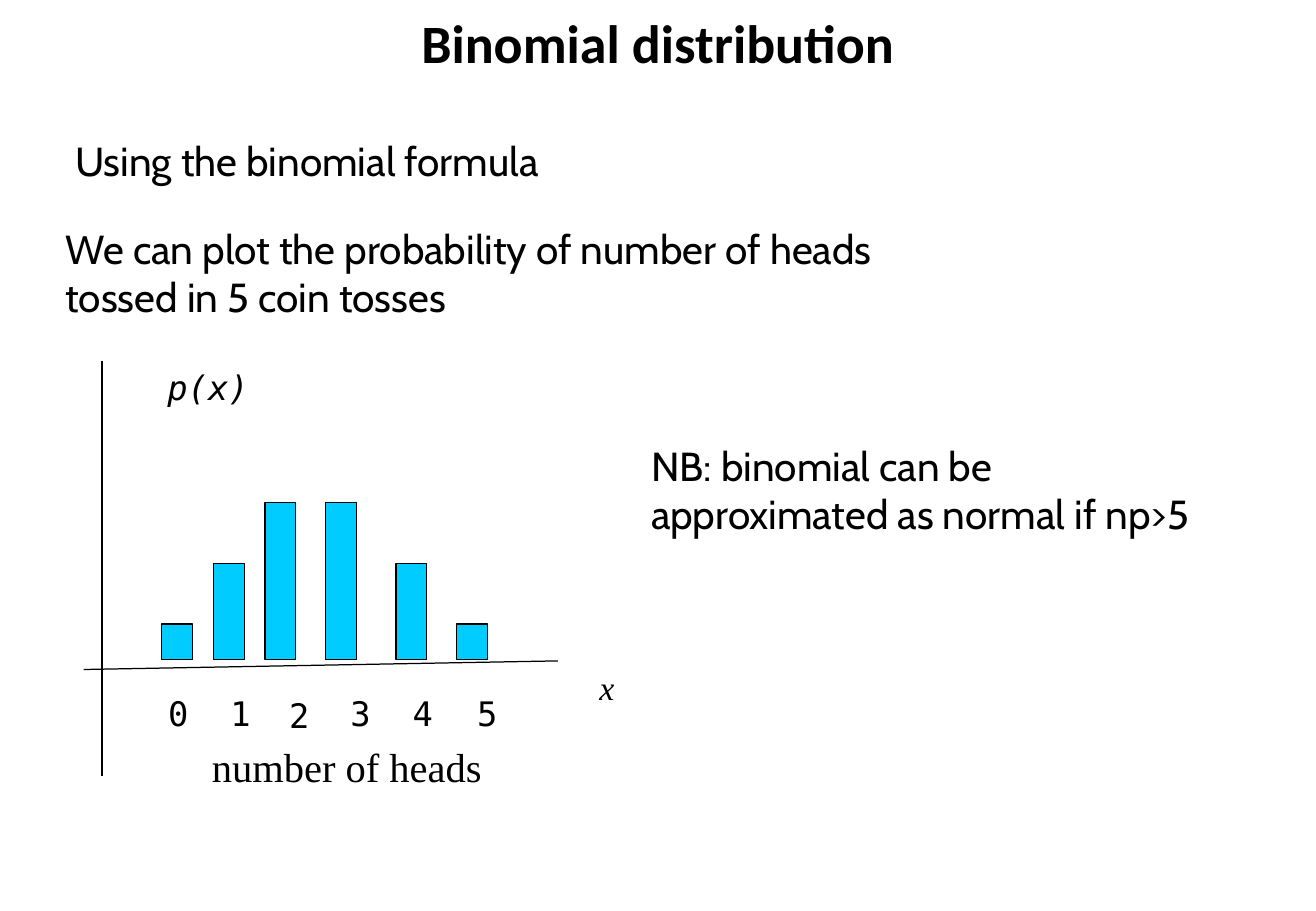
from lxml import etree
from pptx import Presentation
from pptx.dml.color import RGBColor
from pptx.enum.shapes import MSO_CONNECTOR, MSO_SHAPE
from pptx.enum.text import MSO_ANCHOR, PP_ALIGN
from pptx.oxml.ns import qn
from pptx.util import Cm, Pt

LEFT, CENTER = PP_ALIGN.LEFT, PP_ALIGN.CENTER
TOP, MIDDLE = MSO_ANCHOR.TOP, MSO_ANCHOR.MIDDLE
STRAIGHT, RECTANGLE = MSO_CONNECTOR.STRAIGHT, MSO_SHAPE.RECTANGLE
COLORS = {"ink": "000000", "bar": "00CCFF"}
INK = RGBColor.from_string(COLORS["ink"])
BODY, MONO, SERIF = "Cabin", "DejaVu Sans Mono", "Times New Roman"

prs = Presentation()
prs.slide_width, prs.slide_height = Cm(27.51), Cm(19.05)
s = prs.slides.add_slide(prs.slide_layouts[5])


def put_text(text, x, y, w, h, sp=None, font=BODY, size=24, bold=False,
             italic=False, align=LEFT, anchor=TOP, inset=(0.25, 0.13)):
    sp = sp or s.shapes.add_textbox(0, 0, 0, 0)
    sp.left, sp.top, sp.width, sp.height = Cm(x), Cm(y), Cm(w), Cm(h)
    tf = sp.text_frame
    tf.word_wrap = True
    tf.vertical_anchor = anchor
    tf.margin_left = tf.margin_right = Cm(inset[0])
    tf.margin_top = tf.margin_bottom = Cm(inset[1])
    tf.text = text
    for p in tf.paragraphs:
        p.alignment = align
        for r in p.runs:
            r.font.name, r.font.size = font, Pt(size)
            r.font.bold, r.font.italic = bold, italic
            r.font.color.rgb = INK


put_text("Binomial distribution", 1.37, 0.03, 24.77, 1.68, sp=s.shapes.title,
         font="Calibri", size=32, bold=True, align=CENTER, anchor=MIDDLE)
put_text("Using the binomial formula", 1.32, 2.72, 10.9, 1.27)
put_text("We can plot the probability of number of heads\ntossed in 5 coin tosses",
         1.12, 4.55, 18.72, 2.31)
put_text("NB: binomial can be approximated as normal if np>5",
         13.36, 9.09, 11.79, 3.33)

BASELINE = 13.79
bars = [(3.38, 0.74), (4.47, 2.01), (5.54, 3.28),
        (6.81, 3.28), (8.28, 2.01), (9.55, 0.74)]
for x, height in bars:
    sp = s.shapes.add_shape(RECTANGLE, Cm(x), Cm(BASELINE - height), Cm(0.64), Cm(height))
    sp.shadow.inherit = False
    sp.fill.solid()
    sp.fill.fore_color.rgb = RGBColor.from_string(COLORS["bar"])
    sp.line.color.rgb = INK
    sp.line.width = Pt(0.75)

axes = [(2.13, 7.54, 2.13, 16.23), (1.75, 14.0, 11.66, 13.82)]
for ends in axes:
    axis = s.shapes.add_connector(STRAIGHT, *[Cm(v) for v in ends])
    axis.line.color.rgb = INK
    axis.line.width = Pt(0.75)
    etree.SubElement(axis._element.spPr, qn("a:effectLst"))

digits = [(3.43, 14.48), (4.73, 14.48), (5.96, 14.53),
          (7.24, 14.48), (8.54, 14.48), (9.89, 14.48)]
for heads, (x, y) in enumerate(digits):
    put_text(str(heads), x, y, 0.6, 0.9, font=MONO, size=20, align=CENTER, inset=(0, 0))

put_text("p(x)", 2.84, 7.54, 3.02, 1.57, font=MONO, size=20, italic=True, align=CENTER)
put_text("x", 11.79, 13.82, 1.8, 1.57, font=SERIF, size=20, italic=True, align=CENTER)
put_text("number of heads", 3.02, 15.39, 8.46, 1.14, font=SERIF, align=CENTER)

prs.save("out.pptx")
